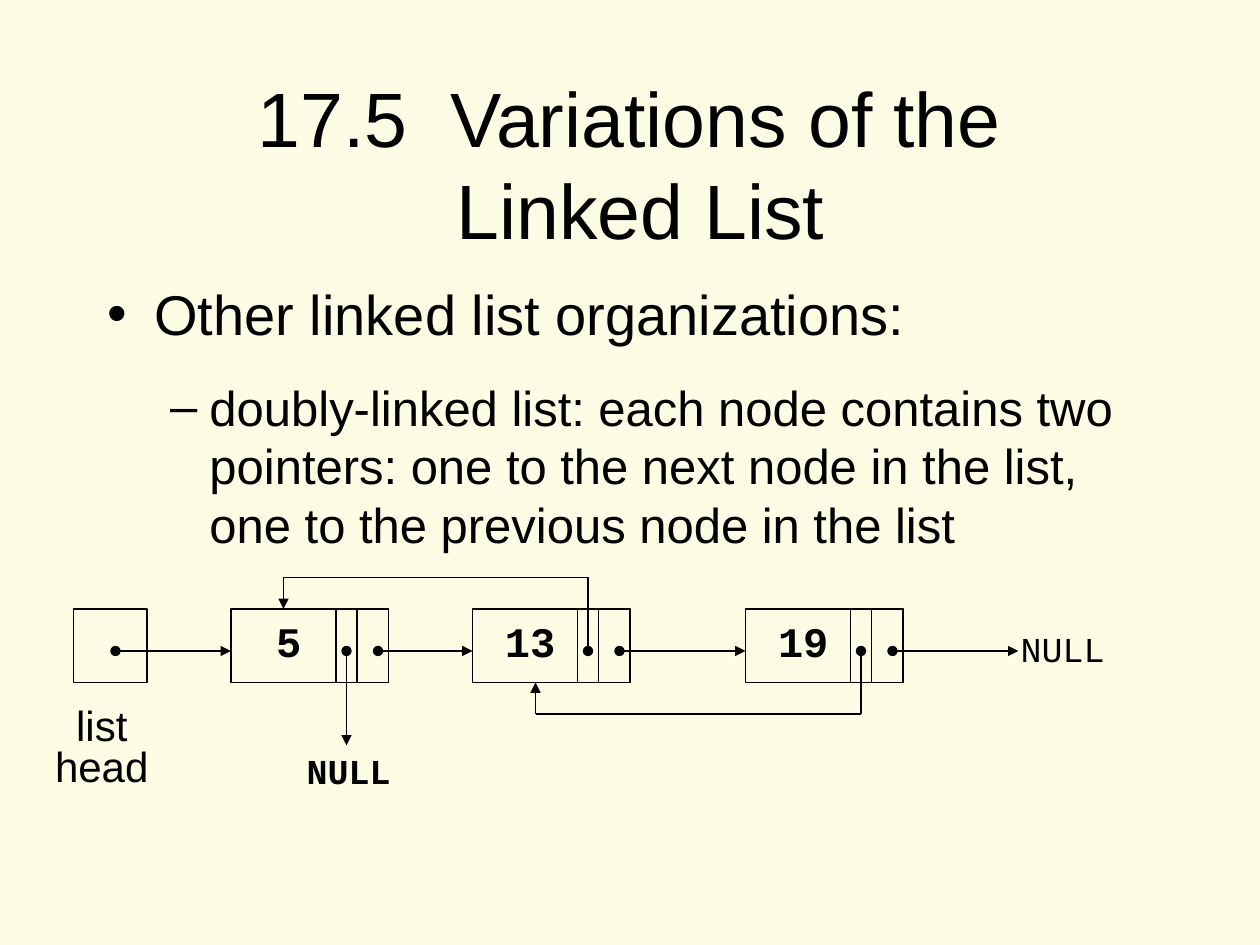
from pptx import Presentation
from pptx.util import Cm, Pt
from pptx.dml.color import RGBColor
from pptx.enum.shapes import MSO_CONNECTOR, MSO_SHAPE
from pptx.enum.text import MSO_ANCHOR, MSO_AUTO_SIZE, PP_ALIGN
from pptx.oxml.ns import qn
from lxml.etree import SubElement


def color(value):
    return RGBColor.from_string(value)


def grid(units):
    return Cm(units * 2.54 / 12)


class ListSlide:
    ink = "000000"
    paper = "FDFCE5"
    body_font = "Arial"
    code_font = "Courier New"
    stroke = 0.74

    def __init__(self, deck):
        self.slide = deck.slides.add_slide(deck.slide_layouts[1])
        self.slide.background.fill.solid()
        self.slide.background.fill.fore_color.rgb = color(self.paper)

    def span(self, para, text, size, font, bold=False):
        span = para.add_run()
        span.text = text
        span.font.size = Pt(size)
        span.font.name = font
        span.font.bold = bold
        span.font.color.rgb = color(self.ink)

    def place(self, box, left, top, width, height):
        box.left, box.top = grid(left), grid(top)
        box.width, box.height = grid(width), grid(height)
        box.text_frame.auto_size = MSO_AUTO_SIZE.NONE

    def title(self, lines, left, top, width, height):
        box = self.slide.shapes.title
        self.place(box, left, top, width, height)
        box.text_frame.vertical_anchor = MSO_ANCHOR.MIDDLE
        para = box.text_frame.paragraphs[0]
        para.alignment = PP_ALIGN.CENTER
        for index, line in enumerate(lines):
            if index:
                para.add_line_break()
            self.span(para, line, 44, self.body_font)

    def bullets(self, items, left, top, width, height):
        box = self.slide.placeholders[1]
        self.place(box, left, top, width, height)
        frame = box.text_frame
        for index, (level, text, size, before) in enumerate(items):
            para = frame.add_paragraph() if index else frame.paragraphs[0]
            para.level = level
            para.space_before = Pt(before)
            self.span(para, text, size, self.body_font)

    def label(self, lines, center, top, width, height, size, font,
              bold=False, spacing=1.0, before=0):
        box = self.slide.shapes.add_textbox(
            grid(center - width / 2), grid(top), grid(width), grid(height))
        frame = box.text_frame
        frame.word_wrap = False
        for index, line in enumerate(lines):
            para = frame.add_paragraph() if index else frame.paragraphs[0]
            para.alignment = PP_ALIGN.CENTER
            para.line_spacing = spacing
            para.space_before = Pt(before)
            self.span(para, line, size, font, bold)

    def null(self, center, top, bold=False):
        self.label(["NULL"], center, top, 10.4, 6, 20, self.code_font,
                   bold, 1.2, 2.5)

    def cell(self, left, width):
        cell = self.slide.shapes.add_shape(
            MSO_SHAPE.RECTANGLE, grid(left), grid(58), grid(width), grid(7))
        cell.shadow.inherit = False
        cell.fill.background()
        cell.line.color.rgb = color(self.ink)
        cell.line.width = Pt(self.stroke)

    def node(self, left, value):
        for offset, width in ((0, 15), (10, 5), (10, 2)):
            self.cell(left + offset, width)
        self.label([value], left + 5.5, 58, 2.4 + 2.4 * len(value), 6, 24,
                   self.code_font, True)

    def pointer(self, *points):
        last = len(points) - 2
        for index, (start, end) in enumerate(zip(points, points[1:])):
            line = self.slide.shapes.add_connector(
                MSO_CONNECTOR.STRAIGHT, *map(grid, start + end))
            line.line.color.rgb = color(self.ink)
            line.line.width = Pt(self.stroke)
            outline = line.line._get_or_add_ln()
            if index == 0:
                SubElement(outline, qn("a:headEnd"), type="oval")
            if index == last:
                SubElement(outline, qn("a:tailEnd"), type="triangle")
            SubElement(line._element.spPr, qn("a:effectLst"))


deck = Presentation()
deck.slide_width, deck.slide_height = Cm(25.4), Cm(19.05)
page = ListSlide(deck)

page.title(["17.5  Variations of the", " Linked List"], 9, 8, 102, 15)
page.bullets([
    (0, "Other linked list organizations:", 32, 20),
    (1, "doubly-linked list: each node contains two pointers: one to the "
        "next node in the list, one to the previous node in the list",
     28, 17.5),
], 9, 26, 102, 28)

nodes = [(22, "5"), (45, "13"), (71, "19")]
middle = 62
page.cell(7, 7)
for left, value in nodes:
    page.node(left, value)

starts = [11] + [left + 14 for left, value in nodes]
ends = [left for left, value in nodes] + [97]
for start, end in zip(starts, ends):
    page.pointer((start, middle), (end, middle))

page.pointer((33, middle), (33, 71))
for start, turn, target, edge in ((56, 55, 27, 58), (82, 68, 51, 65)):
    page.pointer((start, middle), (start, turn), (target, turn),
                 (target, edge))

page.null(101.2, 58.4)
page.null(33.2, 70, True)
page.label(["list", "head"], 9.7, 67, 11.3, 8.9, 24, page.body_font,
           spacing=0.8)

deck.save("out.pptx")
